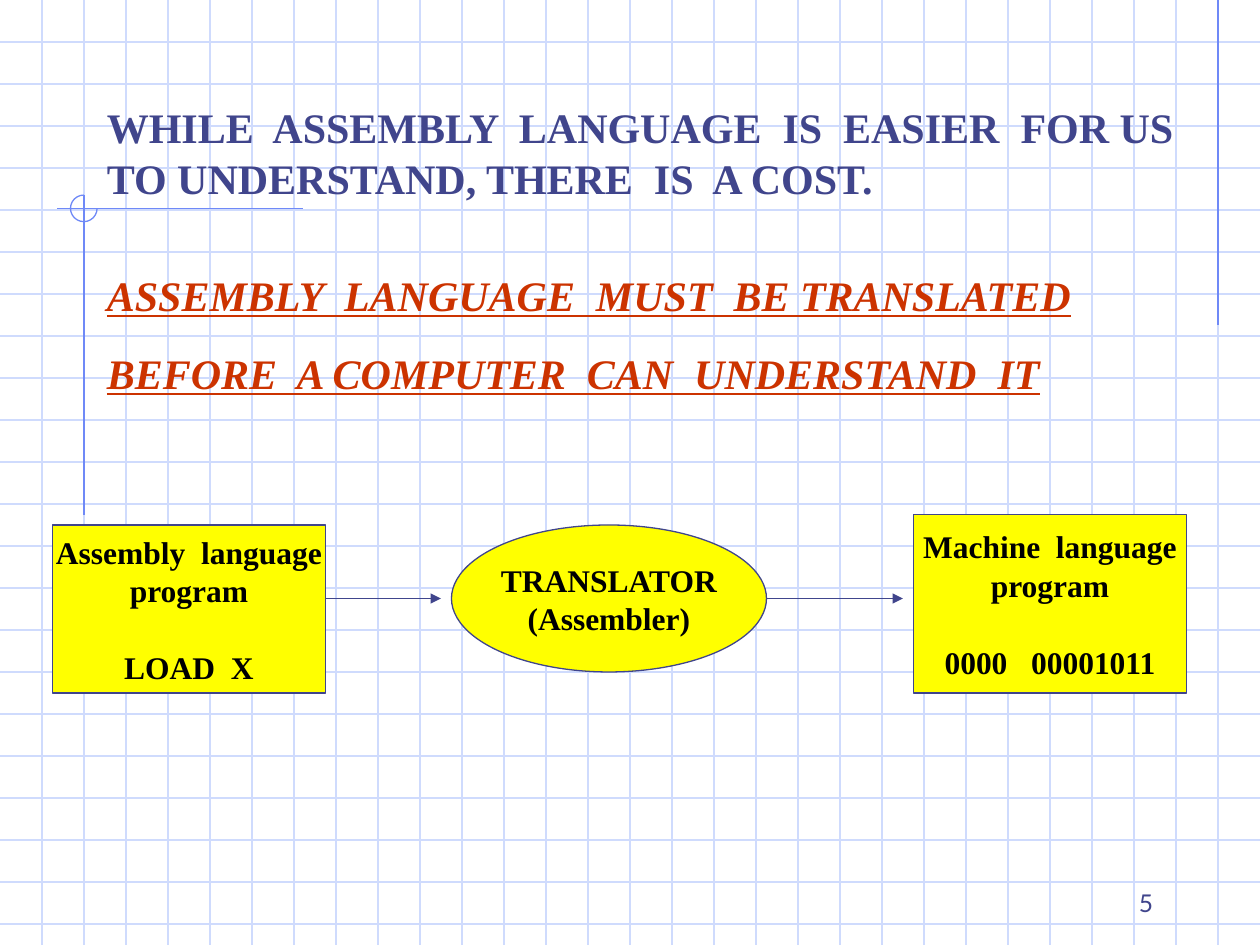
from dataclasses import dataclass
from typing import NamedTuple

from lxml.etree import SubElement
from pptx import Presentation
from pptx.dml.color import RGBColor
from pptx.enum.shapes import MSO_CONNECTOR, MSO_SHAPE
from pptx.enum.text import MSO_ANCHOR, PP_ALIGN
from pptx.oxml.ns import qn
from pptx.shapes.connector import Connector
from pptx.slide import Slide
from pptx.text.text import TextFrame
from pptx.util import Pt


@dataclass(frozen=True)
class Theme:
    grid: str = "CFDBFD"
    accent: str = "6F89F7"
    ink: str = "40458C"
    alert: str = "CC3300"
    fill: str = "FFFF00"
    black: str = "000000"
    serif: str = "Times New Roman"
    sans: str = "Lato"
    head: float = 24
    body: float = 18
    small: float = 14
    line: float = 0.75
    lead: float = 1.22  # line height per type size


class Area(NamedTuple):
    x: float
    y: float
    w: float
    h: float


class Style(NamedTuple):
    font: str
    size: float
    color: str
    bold: bool = True
    slant: bool = False  # italic and underlined
    align: PP_ALIGN = PP_ALIGN.LEFT


class Node(NamedTuple):
    kind: MSO_SHAPE
    area: Area
    lines: list[str]
    code: str = ""  # set apart by one empty line's height


class Line(NamedTuple):
    x1: float
    y1: float
    x2: float
    y2: float


THEME = Theme()
WIDTH, HEIGHT, STEP = 720, 540, 24

TITLE = Style(THEME.serif, THEME.head, THEME.ink)
CLAIM = Style(THEME.serif, THEME.head, THEME.alert, slant=True)
LABEL = Style(THEME.serif, THEME.body, THEME.black, align=PP_ALIGN.CENTER)
PAGE = Style(THEME.sans, THEME.small, THEME.ink, bold=False, align=PP_ALIGN.RIGHT)

RULES = [
    Line(696, 0, 696, 186),
    Line(173, 119.2, 32.5, 119.2),
    Line(48, 111.5, 48, 294.5),
]
RING = Area(40.3, 111.5, 15.2, 15.2)

NODES = [
    Node(MSO_SHAPE.RECTANGLE, Area(30, 300, 156, 96),
         ["Assembly  language", "program"], "LOAD  X"),
    Node(MSO_SHAPE.OVAL, Area(258, 300, 180, 84), ["TRANSLATOR", "(Assembler)"]),
    Node(MSO_SHAPE.RECTANGLE, Area(522, 294, 156, 102),
         ["Machine  language", "program"], "0000   00001011"),
]
ARROWS = [Line(186, 342, 252, 342), Line(438, 342, 516, 342)]


def rgb(code: str) -> RGBColor:
    return RGBColor.from_string(code)


def points(area: Area) -> list[Pt]:
    return [Pt(side) for side in area]


def write(frame: TextFrame, lines: list[str], style: Style, gap: float = 0) -> None:
    for i, text in enumerate(lines):
        para = frame.paragraphs[0] if i == 0 else frame.add_paragraph()
        para.text = text
        para.alignment = style.align
        para.line_spacing = Pt(round(style.size * THEME.lead, 1))
        if i and gap:
            para.space_before = Pt(gap)
        font = para.font
        font.name, font.size = style.font, Pt(style.size)
        font.bold, font.italic, font.underline = style.bold, style.slant, style.slant
        font.color.rgb = rgb(style.color)


def add_text(slide: Slide, area: Area, lines: list[str], style: Style,
             gap: float = 0, anchor: MSO_ANCHOR = MSO_ANCHOR.TOP) -> None:
    frame = slide.shapes.add_textbox(*points(area)).text_frame
    frame.word_wrap = True
    frame.vertical_anchor = anchor
    write(frame, lines, style, gap)


def add_line(slide: Slide, line: Line, color: str) -> Connector:
    link = slide.shapes.add_connector(MSO_CONNECTOR.STRAIGHT, *[Pt(v) for v in line])
    link.line.color.rgb = rgb(color)
    link.line.width = Pt(THEME.line)
    SubElement(link.element.spPr, qn("a:effectLst"))
    return link


def add_arrow(slide: Slide, line: Line) -> None:
    link = add_line(slide, line, THEME.ink)
    SubElement(link.line._get_or_add_ln(), qn("a:tailEnd"), type="triangle")


def add_ring(slide: Slide, area: Area) -> None:
    ring = slide.shapes.add_shape(MSO_SHAPE.ARC, *points(area))
    ring.shadow.inherit = False
    ring.adjustments[0], ring.adjustments[1] = 0, 162  # right round to top
    ring.fill.background()
    ring.line.color.rgb = rgb(THEME.accent)
    ring.line.width = Pt(THEME.line)


def add_node(slide: Slide, node: Node) -> None:
    shape = slide.shapes.add_shape(node.kind, *points(node.area))
    shape.shadow.inherit = False
    shape.fill.solid()
    shape.fill.fore_color.rgb = rgb(THEME.fill)
    shape.line.color.rgb = rgb(THEME.ink)
    shape.line.width = Pt(THEME.line)
    frame = shape.text_frame
    frame.word_wrap = False
    frame.vertical_anchor = MSO_ANCHOR.MIDDLE
    write(frame, node.lines + ([node.code] if node.code else []), LABEL)
    if node.code:
        frame.paragraphs[-1].space_before = Pt(round(LABEL.size * THEME.lead, 1))


def main() -> None:
    deck = Presentation()
    deck.slide_width, deck.slide_height = Pt(WIDTH), Pt(HEIGHT)
    slide = deck.slides.add_slide(deck.slide_layouts[6])

    # Graph paper
    for y in range(STEP, HEIGHT, STEP):
        add_line(slide, Line(0, y, WIDTH, y), THEME.grid)
    for x in range(STEP, WIDTH, STEP):
        add_line(slide, Line(x, 0, x, HEIGHT), THEME.grid)

    # Accent lines and ring
    for rule in RULES:
        add_line(slide, rule, THEME.accent)
    add_ring(slide, RING)

    # Title
    add_text(slide, Area(54, 54, 642, 65), [
        "WHILE  ASSEMBLY  LANGUAGE  IS  EASIER  FOR US  "
        "TO UNDERSTAND, THERE  IS  A COST."], TITLE)

    # Translation flow
    for node in NODES:
        add_node(slide, node)
    for arrow in ARROWS:
        add_arrow(slide, arrow)

    # Claim and page number
    add_text(slide, Area(54, 150, 576, 124), [
        "ASSEMBLY  LANGUAGE  MUST  BE TRANSLATED",
        "BEFORE  A COMPUTER  CAN  UNDERSTAND  IT"], CLAIM, gap=15)
    add_text(slide, Area(516, 492, 150, 36), ["5"], PAGE, anchor=MSO_ANCHOR.BOTTOM)

    deck.save("out.pptx")


if __name__ == "__main__":
    main()
